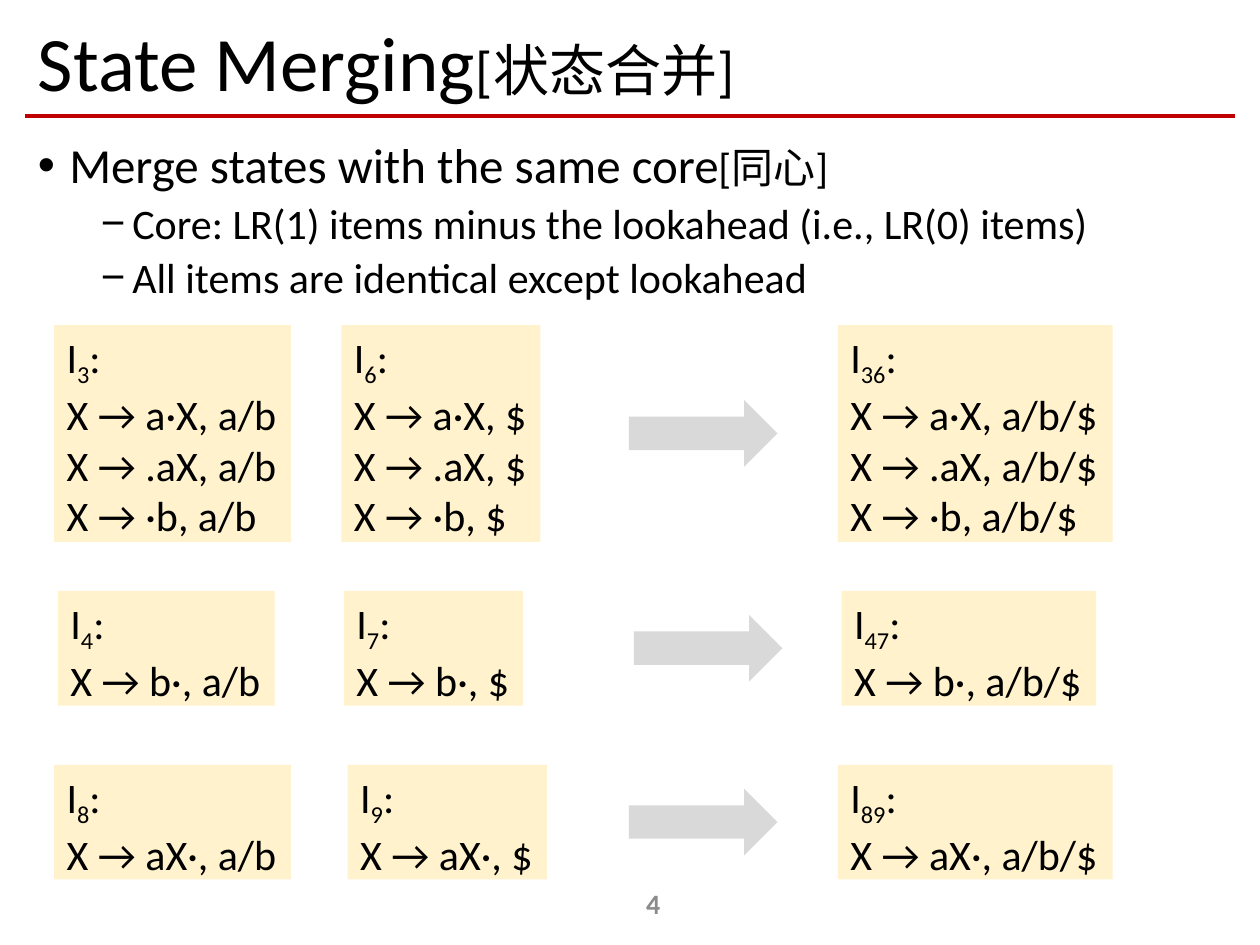
from lxml import etree
from pptx import Presentation
from pptx import util as u
from pptx.dml.color import RGBColor
from pptx.enum import shapes, text
from pptx.oxml import ns


def color(hex_value):
    return RGBColor.from_string(hex_value)


class SlideBuilder:
    FONT = "Calibri"
    INK, RULE, BOX, ARROW, NUMBER = "000000", "C00000", "FFF2CC", "D9D9D9", "8C8C8C"

    def __init__(self, slide):
        self.slide = slide

    def place(self, shape, left, top, width, height):
        shape.left, shape.top = u.Inches(left), u.Inches(top)
        shape.width, shape.height = u.Inches(width), u.Inches(height)

    def add_run(self, paragraph, words, size, ink=INK, bold=False):
        run = paragraph.add_run()
        run.text = words
        run.font.name, run.font.size, run.font.bold = self.FONT, u.Pt(size), bold
        run.font.color.rgb = color(ink)
        return run

    def rule(self, left, right, top):
        line = self.slide.shapes.add_connector(
            shapes.MSO_CONNECTOR.STRAIGHT,
            u.Inches(left), u.Inches(top), u.Inches(right), u.Inches(top))
        line.line.color.rgb = color(self.RULE)
        line.line.width = u.Pt(2.5)
        etree.SubElement(line._element.spPr, ns.qn("a:effectLst"))

    def title(self, runs, *box):
        title = self.slide.shapes.title
        self.place(title, *box)
        frame = title.text_frame
        frame.auto_size = text.MSO_AUTO_SIZE.NONE
        frame.vertical_anchor = text.MSO_ANCHOR.MIDDLE
        paragraph = frame.paragraphs[0]
        paragraph.alignment = text.PP_ALIGN.LEFT
        paragraph.line_spacing = 0.9
        for words, size in runs:
            self.add_run(paragraph, words, size)

    def bullets(self, items, *box):
        body = self.slide.placeholders[1]
        self.place(body, *box)
        frame = body.text_frame
        frame.auto_size = text.MSO_AUTO_SIZE.NONE
        for index, (level, runs) in enumerate(items):
            paragraph = frame.add_paragraph() if index else frame.paragraphs[0]
            paragraph.level = level
            paragraph.line_spacing = 0.9
            paragraph.space_before = u.Pt((10, 5)[level])
            properties = paragraph._p.get_or_add_pPr()
            properties.set("marL", str(u.Inches((0.25, 0.75)[level])))
            properties.set("indent", str(u.Inches(-0.25)))
            font = etree.SubElement(properties, ns.qn("a:buFont"))
            font.set("typeface", "Arial")
            etree.SubElement(properties, ns.qn("a:buChar")).set("char", "•−"[level])
            for words, size in runs:
                self.add_run(paragraph, words, size)

    def block(self, group, kind, fill, *box):
        shape = group.shapes.add_shape(kind, *map(u.Inches, box))
        shape.shadow.inherit = False
        shape.fill.solid()
        shape.fill.fore_color.rgb = color(fill)
        shape.line.fill.background()
        return shape

    def state(self, group, number, items, *box):
        """Draw an item set: its subscripted name above its LR items."""
        shape = self.block(group, shapes.MSO_SHAPE.RECTANGLE, self.BOX, *box)
        frame = shape.text_frame
        frame.word_wrap = False
        frame.auto_size = text.MSO_AUTO_SIZE.SHAPE_TO_FIT_TEXT
        frame.vertical_anchor = text.MSO_ANCHOR.TOP
        heading = frame.paragraphs[0]
        heading.alignment = text.PP_ALIGN.LEFT
        self.add_run(heading, "I", 24)
        subscript = self.add_run(heading, number, 24)
        subscript.font._element.set("baseline", "-25000")
        self.add_run(heading, ":", 24)
        for item in items:
            paragraph = frame.add_paragraph()
            paragraph.alignment = text.PP_ALIGN.LEFT
            self.add_run(paragraph, item, 24)

    def merge_row(self, cores, top, height, arrow_left, states):
        """Draw two states, an arrow and the state they merge into."""
        group = self.slide.shapes.add_group_shape()
        for (number, left, width), lookahead in zip(states, ("a/b", "$", "a/b/$")):
            items = [f"X → {core}, {lookahead}" for core in cores]
            self.state(group, number, items, left, top, width, height)
        arrow_height = 0.53
        self.block(group, shapes.MSO_SHAPE.RIGHT_ARROW, self.ARROW, arrow_left,
                   top + (height - arrow_height) / 2, 1.18, arrow_height)

    def page_number(self, number, *box):
        shape = self.slide.shapes.add_textbox(*map(u.Inches, box))
        frame = shape.text_frame
        frame.word_wrap = True
        frame.vertical_anchor = text.MSO_ANCHOR.MIDDLE
        frame.paragraphs[0].alignment = text.PP_ALIGN.CENTER
        self.add_run(frame.paragraphs[0], number, 16, self.NUMBER, bold=True)


def main():
    presentation = Presentation()
    presentation.slide_width, presentation.slide_height = u.Inches(10), u.Inches(7.5)
    slide = presentation.slides.add_slide(presentation.slide_layouts[1])
    builder = SlideBuilder(slide)

    builder.rule(0.2, 9.8, 0.92)
    builder.title([("State Merging", 44), ("[状态合并]", 32)], 0.2, 0.13, 9.61, 0.79)
    builder.bullets([
        (0, [("Merge states with the same core", 28), ("[同心]", 24)]),
        (1, [("Core: LR(1) items minus the lookahead (i.e., LR(0) items)", 24)]),
        (1, [("All items are identical except lookahead", 24)]),
    ], 0.2, 1.07, 9.61, 5.68)

    builder.merge_row(["a·X", ".aX", "·b"], 2.58, 1.72, 4.99,
                      [("3", 0.43, 1.88), ("6", 2.71, 1.58), ("36", 6.65, 2.18)])
    builder.merge_row(["b·"], 4.69, 0.91, 5.03,
                      [("4", 0.46, 1.72), ("7", 2.73, 1.42), ("47", 6.68, 2.02)])
    builder.merge_row(["aX·"], 6.07, 0.91, 4.99,
                      [("8", 0.43, 1.88), ("9", 2.76, 1.58), ("89", 6.65, 2.18)])
    builder.page_number("4", 4.06, 6.97, 2.25, 0.4)

    presentation.save("out.pptx")


if __name__ == "__main__":
    main()
